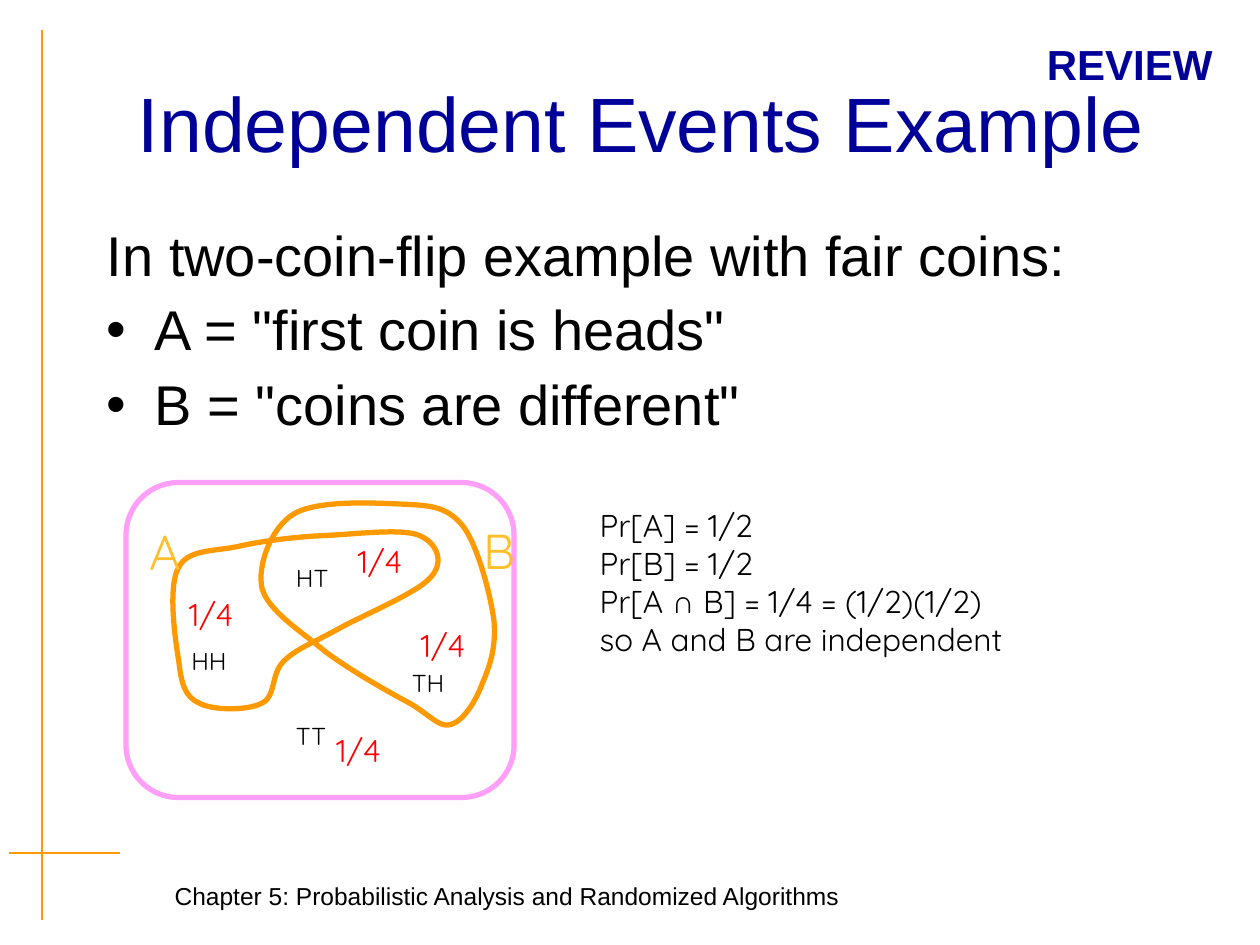
from dataclasses import dataclass

from lxml.etree import SubElement
from pptx import Presentation
from pptx.dml.color import RGBColor
from pptx.enum.shapes import MSO_CONNECTOR, MSO_SHAPE
from pptx.enum.text import MSO_ANCHOR, MSO_AUTO_SIZE, PP_ALIGN
from pptx.oxml.ns import qn
from pptx.util import Inches, Pt


@dataclass(frozen=True)
class Theme:
    sans: str = "Arial"
    hand: str = "Quicksand"
    navy: str = "000099"
    black: str = "000000"
    orange: str = "FF9900"
    amber: str = "FFBE2C"
    pink: str = "FF9FF8"
    red: str = "FF0000"
    title: int = 44
    body: int = 32
    event: int = 28
    tag: int = 24
    note: int = 18
    small: int = 14
    rule: float = 1.19
    outline: float = 3


T = Theme()

# Outcome, label position, probability position
OUTCOMES = [
    ("HH", (1.42, 5.08), (1.4, 4.67)),
    ("TH", (3.17, 5.25), (3.24, 4.92)),
    ("TT", (2.25, 5.67), (2.57, 5.75)),
    ("HT", (2.25, 4.42), (2.74, 4.25)),
]

# Start point, then two control points and an end point per curve
EVENT_A = [
    (1.58, 5.58),
    (1.69, 5.64), (1.97, 5.64), (2.08, 5.58),
    (2.19, 5.53), (2.15, 5.35), (2.25, 5.25),
    (2.35, 5.15), (2.47, 5.11), (2.67, 5),
    (2.86, 4.89), (3.31, 4.71), (3.42, 4.58),
    (3.53, 4.46), (3.47, 4.31), (3.33, 4.25),
    (3.19, 4.19), (2.82, 4.24), (2.58, 4.25),
    (2.35, 4.26), (2.11, 4.29), (1.92, 4.33),
    (1.72, 4.38), (1.5, 4.35), (1.42, 4.5),
    (1.33, 4.65), (1.39, 5.07), (1.42, 5.25),
    (1.44, 5.43), (1.47, 5.53), (1.58, 5.58),
]
EVENT_B = [
    (2.33, 4.08),
    (2.15, 4.19), (2.04, 4.49), (2.08, 4.67),
    (2.13, 4.85), (2.39, 5.01), (2.58, 5.17),
    (2.78, 5.32), (3.08, 5.49), (3.25, 5.58),
    (3.42, 5.68), (3.49, 5.78), (3.58, 5.75),
    (3.68, 5.72), (3.78, 5.56), (3.83, 5.42),
    (3.89, 5.28), (3.94, 5.13), (3.92, 4.92),
    (3.89, 4.71), (3.79, 4.32), (3.67, 4.17),
    (3.54, 4.01), (3.39, 4.01), (3.17, 4),
    (2.94, 3.99), (2.51, 3.97), (2.33, 4.08),
]


def add_text(s, text, box, size, color, font=T.sans, bold=False,
             align=PP_ALIGN.LEFT, wrap=True, grow=True):
    """Add a text box with one paragraph per line of text."""
    sp = s.shapes.add_textbox(*map(Inches, box))
    tf = sp.text_frame
    tf.text = text
    tf.word_wrap = wrap
    tf.auto_size = MSO_AUTO_SIZE.SHAPE_TO_FIT_TEXT if grow else MSO_AUTO_SIZE.NONE
    for p in tf.paragraphs:
        p.alignment = align
        for r in p.runs:
            style_run(r, size, color, font, bold)
    return tf


def style_run(r, size, color, font, bold=False):
    r.font.size = Pt(size)
    r.font.color.rgb = RGBColor.from_string(color)
    r.font.name = font
    r.font.bold = bold


def add_rule(s, x1, y1, x2, y2):
    line = s.shapes.add_connector(MSO_CONNECTOR.STRAIGHT, *map(Inches, (x1, y1, x2, y2)))
    line.line.color.rgb = RGBColor.from_string(T.orange)
    line.line.width = Pt(T.rule)
    SubElement(line._element.spPr, qn("a:effectLst"))


def outline_only(sp, color):
    sp.shadow.inherit = False
    sp.fill.background()
    sp.line.color.rgb = RGBColor.from_string(color)
    sp.line.width = Pt(T.outline)


def bend_segments(sp):
    """Turn each three line segments of a freeform into one cubic curve."""
    path = sp._element.find(".//" + qn("a:path"))
    segments = path.findall(qn("a:lnTo"))
    for i in range(0, len(segments), 3):
        curve = SubElement(path, qn("a:cubicBezTo"))
        segments[i].addprevious(curve)
        for segment in segments[i:i + 3]:
            curve.append(segment[0])
            path.remove(segment)


def add_event(s, name, nodes, x, y):
    start, *rest = [tuple(map(Inches, node)) for node in nodes]
    builder = s.shapes.build_freeform(*start)
    builder.add_line_segments(rest, close=True)
    sp = builder.convert_to_shape()
    bend_segments(sp)
    outline_only(sp, T.orange)
    add_text(s, name, (x, y, 0.45, 0.57), T.event, T.amber, T.hand, wrap=False)


def add_body(s):
    tf = add_text(s, 'In two-coin-flip example with fair coins:\n'
                     'A = "first coin is heads"\nB = "coins are different"',
                  (0.75, 1.76, 8.5, 4.91), T.body, T.black, grow=False)
    for i, p in enumerate(tf.paragraphs):
        p.line_spacing = 0.9
        pPr = p._p.get_or_add_pPr()
        pPr.set("marL", str(Inches(0.38)))
        pPr.set("indent", str(-Inches(0.38)))
        if i:
            p.space_before = Pt(8)
            SubElement(pPr, qn("a:buFont"), typeface=T.sans)
            SubElement(pPr, qn("a:buChar"), char="•")


def add_diagram(s):
    for name, label_at, _ in OUTCOMES:
        add_text(s, name, (*label_at, 0.98, 0.34), T.small, T.black, T.hand)
    space = s.shapes.add_shape(MSO_SHAPE.ROUNDED_RECTANGLE,
                               *map(Inches, (1, 3.83, 3.08, 2.5)))
    outline_only(space, T.pink)
    for _, _, chance_at in OUTCOMES:
        add_text(s, "1/4", (*chance_at, 0.58, 0.4), T.note, T.red, T.hand, wrap=False)
    add_event(s, "A", EVENT_A, 1.09, 4.09)
    add_event(s, "B", EVENT_B, 3.74, 4.08)


def add_conclusion(s):
    tf = add_text(s, "Pr[A] = 1/2\nPr[B] = 1/2\n\nso A and B are independent",
                  (4.66, 3.97, 3.45, 1.3), T.note, T.black, T.hand, wrap=False)
    for text, font in (("Pr[A ", T.hand), ("∩", T.sans),
                       (" B] = 1/4 = (1/2)(1/2)", T.hand)):
        r = tf.paragraphs[2].add_run()
        r.text = text
        style_run(r, T.note, T.black, font)


def main():
    prs = Presentation()
    prs.slide_width, prs.slide_height = Inches(10), Inches(7.5)
    s = prs.slides.add_slide(prs.slide_layouts[6])
    add_rule(s, 0.33, 0.24, 0.33, 7.3)
    add_rule(s, 0.07, 6.77, 0.95, 6.77)
    add_text(s, "Chapter 5: Probabilistic Analysis and Randomized Algorithms",
             (1.01, 6.94, 6.03, 0.34), T.small, T.black, align=PP_ALIGN.CENTER)
    title = add_text(s, "Independent Events Example", (0.84, 0.34, 8.5, 1.25),
                     T.title, T.navy, align=PP_ALIGN.CENTER, grow=False)
    title.vertical_anchor = MSO_ANCHOR.MIDDLE
    add_body(s)
    add_diagram(s)
    add_conclusion(s)
    add_text(s, "REVIEW", (8.21, 0.26, 1.53, 0.5), T.tag, T.navy, bold=True, wrap=False)
    prs.save("out.pptx")


if __name__ == "__main__":
    main()
